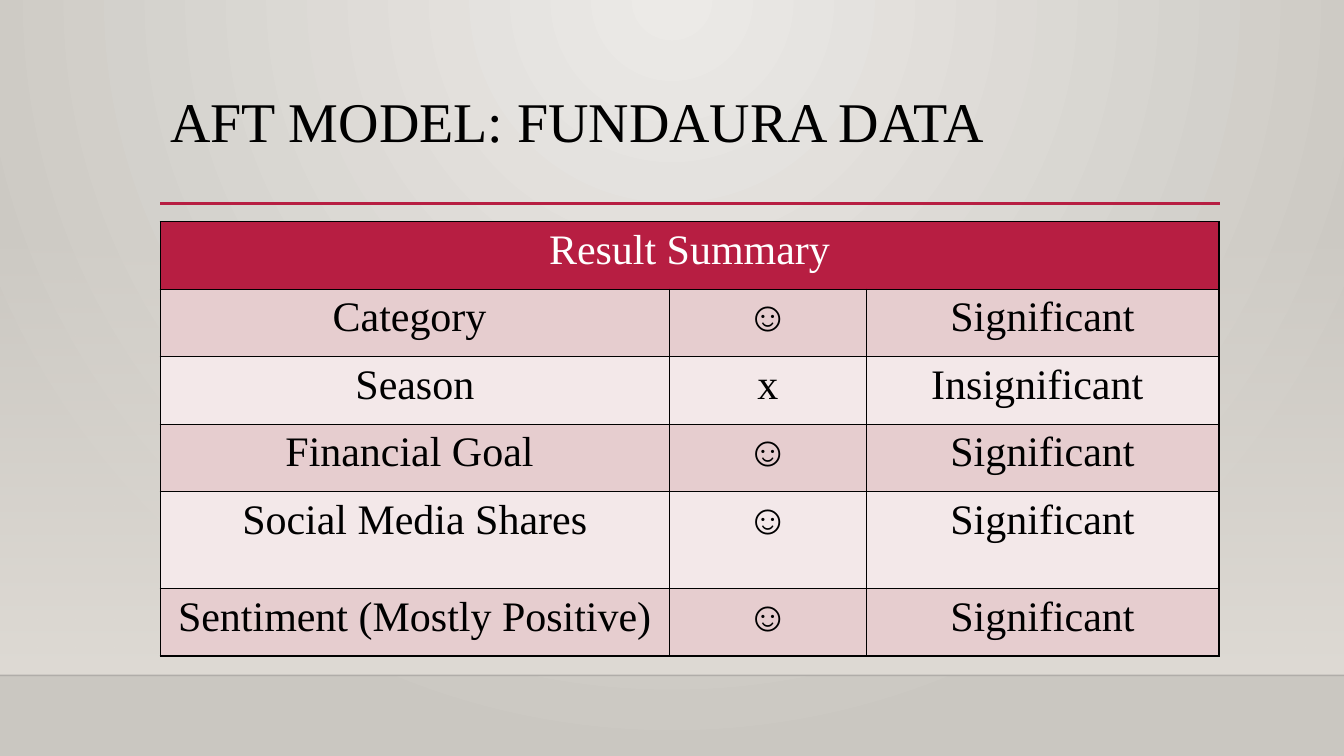
"""Build the slide that summarises which factors matter in the AFT model."""
import lxml.etree
import pptx
import pptx.dml.color
import pptx.enum.shapes
import pptx.enum.text
import pptx.oxml.ns
import pptx.util
from pptx.util import Inches


class Theme:
    font = "Times New Roman"
    title_size = 40
    table_size = 30
    ink = "000000"
    accent = "B71E42"
    header_text = "FFFFFF"
    bands = ("F3E8E9", "E6CDCF")
    glow = "ECEAE7"
    floor = "CAC7C1"
    wall = "DFDBD5"
    floor_edge = "000001"


qn = pptx.oxml.ns.qn
rgb = pptx.dml.color.RGBColor.from_string


def add_text(paragraph, text, size, color):
    run = paragraph.add_run()
    run.text = text
    run.font.name = Theme.font
    run.font.size = pptx.util.Pt(size)
    run.font.color.rgb = rgb(color)


def add_rule(shapes, left, right, top, color, width):
    rule = shapes.add_connector(
        pptx.enum.shapes.MSO_CONNECTOR.STRAIGHT,
        Inches(left), Inches(top), Inches(right), Inches(top))
    rule.line.color.rgb = rgb(color)
    rule.line.width = pptx.util.Pt(width)
    lxml.etree.SubElement(rule.element.spPr, qn("a:effectLst"))
    return rule


presentation = pptx.Presentation()
presentation.slide_width = Inches(13.33)
presentation.slide_height = Inches(7.5)
slide = presentation.slides.add_slide(presentation.slide_layouts[6])
shapes = slide.shapes

background = slide.background.fill
background.gradient()
for stop, color in zip(background.gradient_stops, (Theme.glow, Theme.floor)):
    stop.color.rgb = rgb(color)
gradient = slide.element.find(".//" + qn("a:gradFill"))
gradient.remove(gradient.find(qn("a:lin")))
radial = lxml.etree.SubElement(gradient, qn("a:path"))
radial.set("path", "circle")
lxml.etree.SubElement(radial, qn("a:fillToRect"), l="43000", t="0", r="43000", b="100000")

wall = shapes.add_shape(
    pptx.enum.shapes.MSO_SHAPE.RECTANGLE, 0, Inches(2.21), Inches(13.33), Inches(4.49))
wall.shadow.inherit = False
wall.line.fill.background()
wall.fill.gradient()
wall.fill.gradient_angle = 270
for stop in wall.fill.gradient_stops:
    stop.color.rgb = rgb(Theme.wall)
clear_color = wall.element.find(".//" + qn("a:gs")).find(qn("a:srgbClr"))
lxml.etree.SubElement(clear_color, qn("a:alpha"), val="0")

floor_edge = add_rule(shapes, 0, 13.33, 6.7, Theme.floor_edge, 1)
edge_color = floor_edge.element.find(".//" + qn("a:srgbClr"))
lxml.etree.SubElement(edge_color, qn("a:alpha"), val="20000")
add_rule(shapes, 1.59, 12.1, 2.02, Theme.accent, 2.5)

title = shapes.add_textbox(Inches(1.59), Inches(0.88), Inches(10.5), Inches(1.15))
title.text_frame.word_wrap = True
title.text_frame.vertical_anchor = pptx.enum.text.MSO_ANCHOR.TOP
title_paragraph = title.text_frame.paragraphs[0]
title_paragraph.line_spacing = 0.9
add_text(title_paragraph, "AFT MODEL: FUNDAURA DATA", Theme.title_size, Theme.ink)

results = [
    ("Result Summary", "", ""),
    ("Category ", "☺", "Significant"),
    ("Season", "х", "Insignificant "),
    ("Financial Goal ", "☺", "Significant"),
    ("Social Media Shares", "☺", "Significant"),
    ("Sentiment (Mostly Positive)", "☺", "Significant"),
]
column_widths = (5.05, 1.95, 3.5)
row_heights = (0.67, 0.67, 0.67, 0.67, 0.96, 0.67)
table = shapes.add_table(
    len(results), len(column_widths),
    Inches(1.59), Inches(2.2), Inches(10.5), Inches(sum(row_heights))).table
for column, width in zip(table.columns, column_widths):
    column.width = Inches(width)
for row, height in zip(table.rows, row_heights):
    row.height = Inches(height)
table.cell(0, 0).merge(table.cell(0, 2))

for row_index, texts in enumerate(results):
    is_header = row_index == 0
    cell_fill = Theme.accent if is_header else Theme.bands[row_index % 2]
    text_color = Theme.header_text if is_header else Theme.ink
    for column_index, text in enumerate(texts):
        cell = table.cell(row_index, column_index)
        properties = cell._tc.get_or_add_tcPr()
        for side in ("a:lnL", "a:lnR", "a:lnT", "a:lnB"):
            border = lxml.etree.SubElement(properties, qn(side), w=str(pptx.util.Pt(1)))
            border_fill = lxml.etree.SubElement(border, qn("a:solidFill"))
            lxml.etree.SubElement(border_fill, qn("a:srgbClr"), val=Theme.ink)
        cell.fill.solid()
        cell.fill.fore_color.rgb = rgb(cell_fill)
        if text:
            paragraph = cell.text_frame.paragraphs[0]
            paragraph.alignment = pptx.enum.text.PP_ALIGN.CENTER
            add_text(paragraph, text, Theme.table_size, text_color)

presentation.save("out.pptx")
